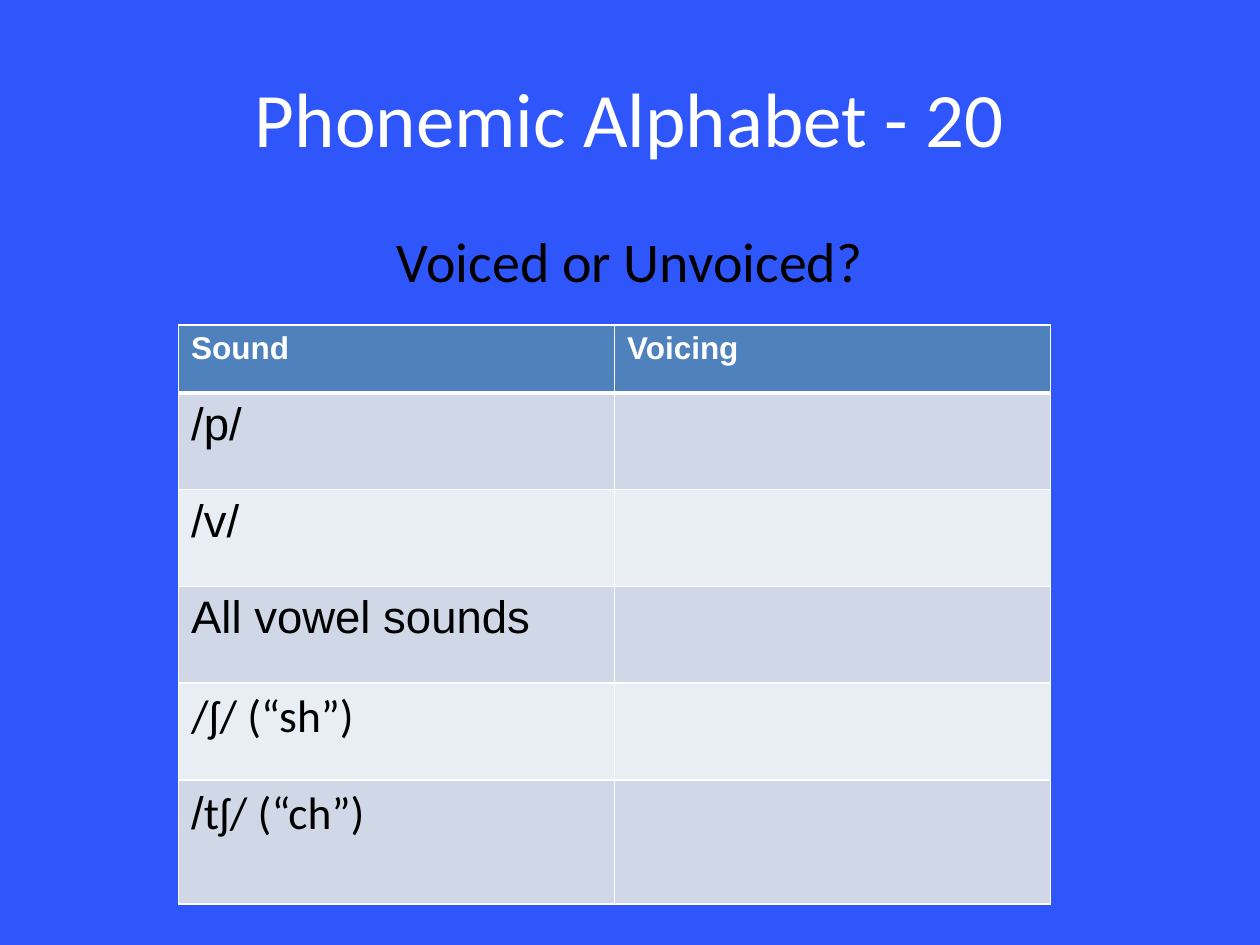
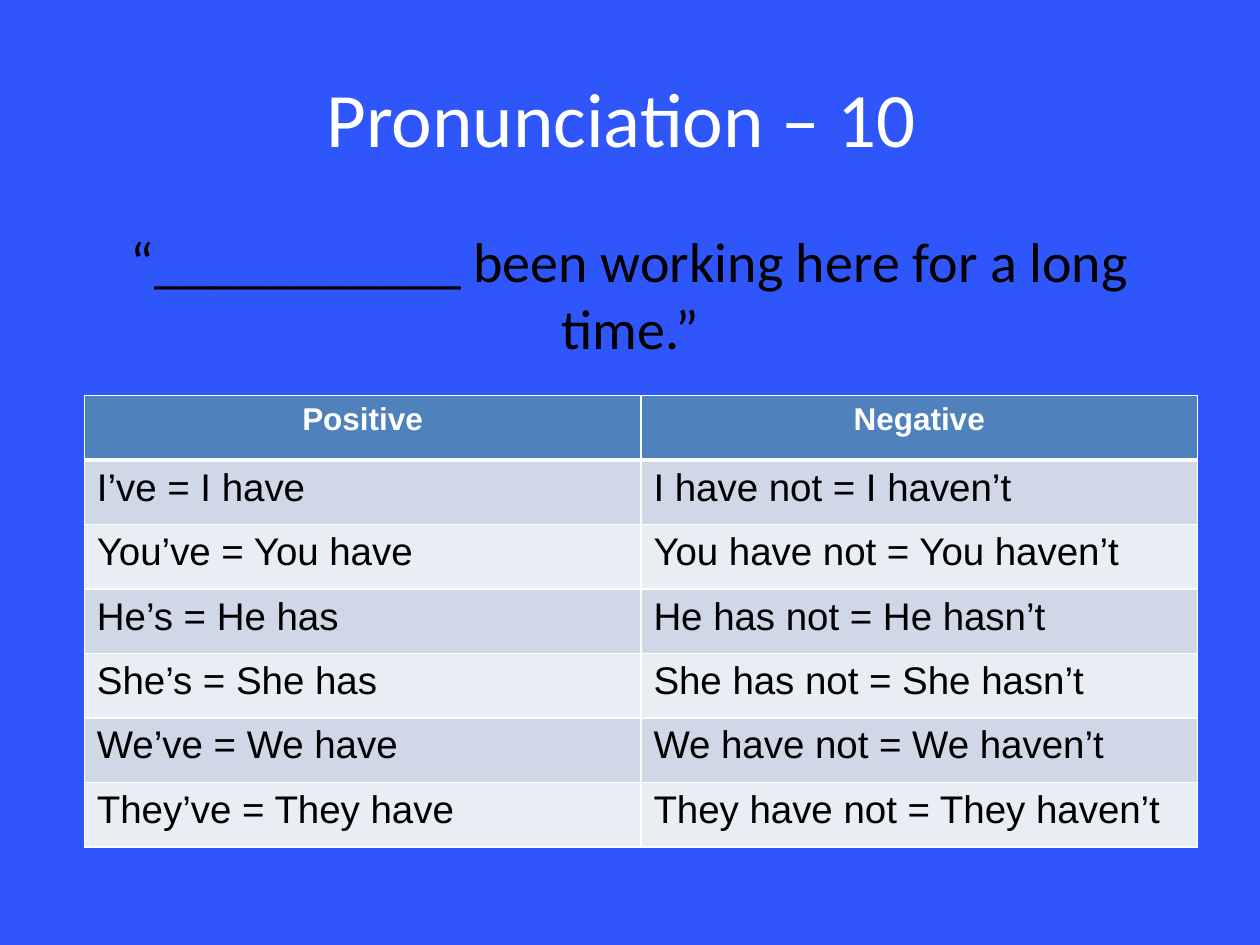
from pptx import Presentation
from pptx.dml.color import RGBColor
from pptx.enum.text import MSO_ANCHOR, PP_ALIGN
from pptx.oxml import parse_xml
from pptx.oxml.ns import nsdecls
from pptx.util import Cm, Pt

BLUE, WHITE, BLACK = "2F56FB", "FFFFFF", "000000"
HEAD, BANDS = "4F81BD", ("D0D8E8", "E9EDF4")
SANS, TABLE = "Calibri", "Arial"

TITLE_BOX = (1.27, 0.76, 22.86, 3.18)
BODY_BOX = (1.27, 4.44, 22.86, 12.57)

# A cell holds plain text, or a list of (text, font) runs.
SOUNDS = [
    ("Sound", "Voicing"),
    ("/p/", ""),
    ("/v/", ""),
    ("All vowel sounds", ""),
    ([("/ʃ/ (“sh”)", SANS)], ""),
    ([("/", TABLE), ("tʃ/ (“ch”)", SANS)], ""),
]
FORMS = [
    ("Positive", "Negative"),
    ("I’ve = I have", "I have not = I haven’t"),
    ("You’ve = You have", "You have not = You haven’t"),
    ("He’s = He has", "He has not = He hasn’t"),
    ("She’s = She has", "She has not = She hasn’t"),
    ("We’ve = We have", "We have not = We haven’t"),
    ("They’ve = They have", "They have not = They haven’t"),
]


def color(code):
    return RGBColor.from_string(code)


def style(font, name, size, code, bold=False):
    font.name, font.size, font.bold = name, Pt(size), bold
    font.color.rgb = color(code)


def add_text(slide, box, text, size, code, anchor):
    frame = slide.shapes.add_textbox(*map(Cm, box)).text_frame
    frame.word_wrap = True
    frame.vertical_anchor = anchor
    frame.text = text
    para = frame.paragraphs[0]
    para.alignment = PP_ALIGN.CENTER
    style(para.runs[0].font, SANS, size, code)


def add_edges(cell, row):
    """Draw white cell borders, thick between the header and the first row."""
    props = cell._tc.get_or_add_tcPr()
    thick = {(0, "B"), (1, "T")}
    for side in "LRTB":
        width = Pt(3 if (row, side) in thick else 1)
        props.append(parse_xml(
            f'<a:ln{side} {nsdecls("a")} w="{width}"><a:solidFill>'
            f'<a:srgbClr val="{WHITE}"/></a:solidFill></a:ln{side}>'))


def fill_cell(cell, value, row, size, align):
    add_edges(cell, row)
    cell.fill.solid()
    cell.fill.fore_color.rgb = color(BANDS[(row - 1) % 2] if row else HEAD)
    para = cell.text_frame.paragraphs[0]
    if row == 0:
        para.alignment = align
    if not value:
        return
    parts = [(value, TABLE)] if isinstance(value, str) else value
    for text, name in parts:
        run = para.add_run()
        run.text = text
        if row:
            style(run.font, name, size, BLACK)
        else:
            style(run.font, name, 18, WHITE, True)


def add_grid(slide, left, top, width, heights, data, size, align):
    cols = len(data[0])
    grid = slide.shapes.add_table(len(data), cols, Cm(left), Cm(top),
                                  Cm(width), Cm(sum(heights))).table
    for col in grid.columns:
        col.width = Cm(width / cols)
    for row, (height, values) in enumerate(zip(heights, data)):
        grid.rows[row].height = Cm(height)
        for col, value in enumerate(values):
            fill_cell(grid.cell(row, col), value, row, size, align)


def add_slide(deck, title, prompt):
    slide = deck.slides.add_slide(deck.slide_layouts[6])
    back = slide.background.fill
    back.solid()
    back.fore_color.rgb = color(BLUE)
    add_text(slide, TITLE_BOX, title, 44, WHITE, MSO_ANCHOR.MIDDLE)
    add_text(slide, BODY_BOX, prompt, 32, BLACK, MSO_ANCHOR.TOP)
    return slide


def main():
    deck = Presentation()
    deck.slide_width, deck.slide_height = Cm(25.4), Cm(19.05)

    slide = add_slide(deck, "Phonemic Alphabet - 20", "Voiced or Unvoiced?")
    add_grid(slide, 3.6, 6.55, 17.58, [1.37] + [1.95] * 4 + [2.5],
             SOUNDS, 26, PP_ALIGN.LEFT)

    slide = add_slide(deck, "Pronunciation – 10 ",
                      "“___________ been working here for a long time.”")
    add_grid(slide, 1.7, 7.97, 22.44, [1.3] * len(FORMS),
             FORMS, 22, PP_ALIGN.CENTER)

    deck.save("out.pptx")


if __name__ == "__main__":
    main()
